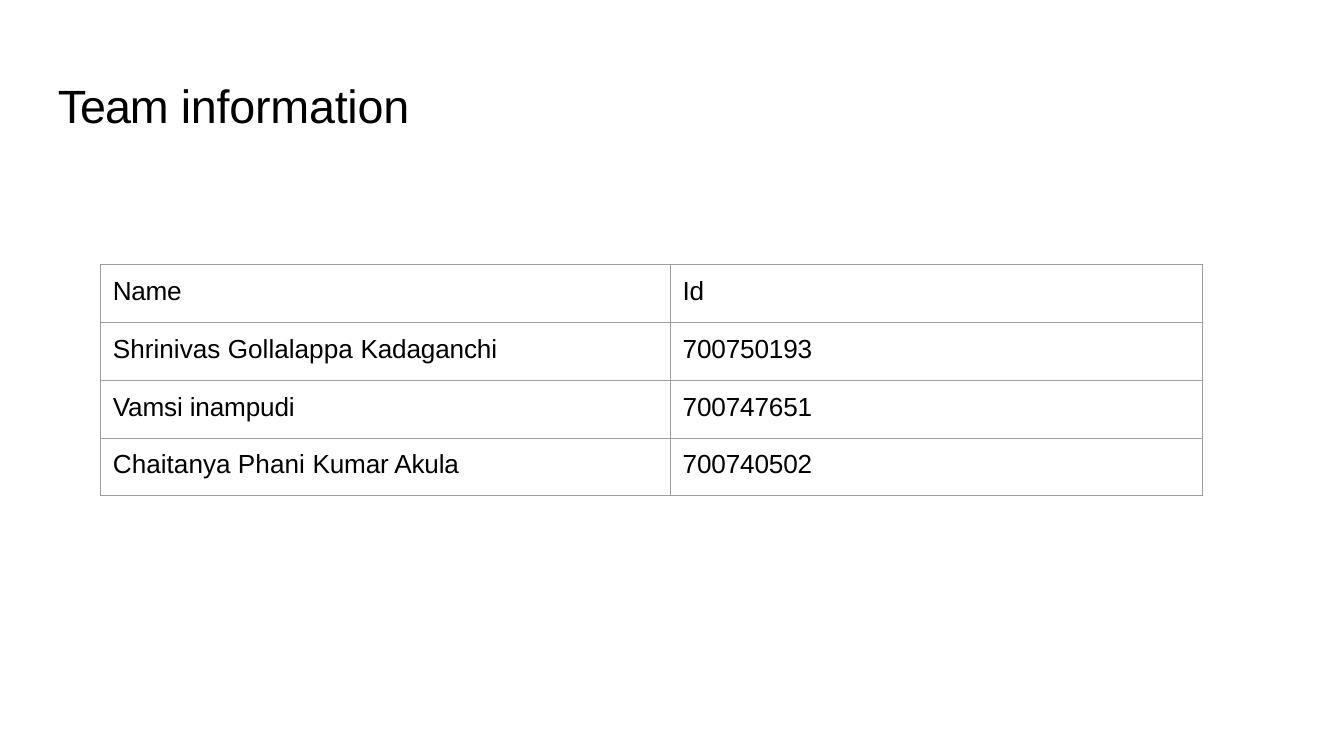
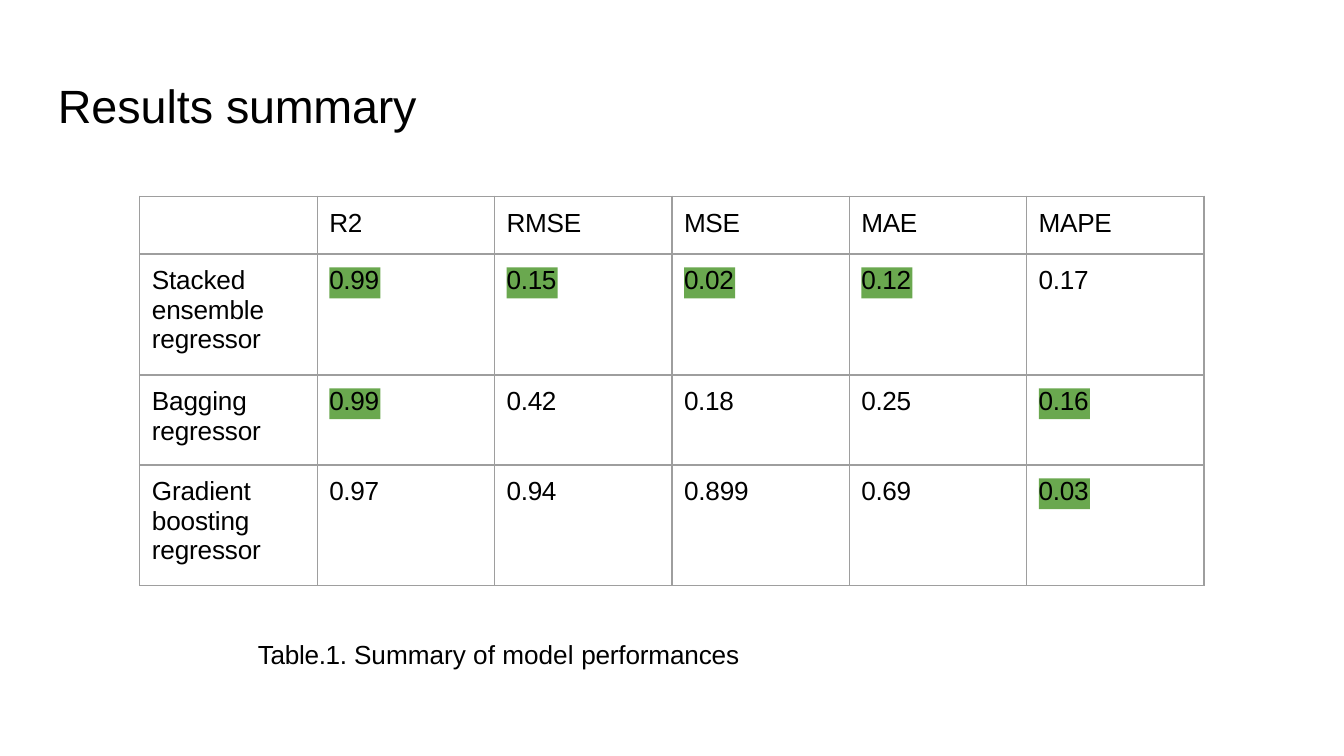
from dataclasses import dataclass
from typing import NamedTuple

from lxml.etree import SubElement
from pptx import Presentation
from pptx.dml.color import RGBColor
from pptx.enum.shapes import MSO_SHAPE as Shape
from pptx.enum.text import MSO_AUTO_SIZE as AutoSize, PP_ALIGN as Align
from pptx.oxml.ns import qn
from pptx.util import Inches, Pt


@dataclass(frozen=True)
class Theme:
    font: str = "Arial"
    text: str = "000000"
    border: str = "9E9E9E"
    highlight: str = "6AA84F"
    title_size: float = 25
    body_size: float = 14
    border_width: float = 0.75
    cell_indent: float = 0.09
    cell_top: float = 0.09
    cell_space: float = 6.2


class Span(NamedTuple):
    text: str
    spacing: float = -0.2


class Cell(NamedTuple):
    spans: tuple[Span, ...]
    marked: bool = False
    align: Align | None = None


@dataclass(frozen=True)
class Grid:
    left: float
    top: float
    columns: list[float]
    rows: list[float]
    cells: list[list[Cell]]


THEME = Theme()


# Text helpers
def write_text(para, spans: tuple[Span, ...], *, size: float, indent: float,
               space: float, align: Align | None = None) -> None:
    para.space_before = Pt(space)
    para.alignment = align
    properties = para._p.get_or_add_pPr()
    properties.set("marL", str(Inches(indent)))
    properties.set("indent", "0")
    for span in spans:
        run = para.add_run()
        run.text = span.text
        run.font.name = THEME.font
        run.font.size = Pt(size)
        run.font.color.rgb = RGBColor.from_string(THEME.text)
        run._r.get_or_add_rPr().set("spc", str(round(span.spacing * 100)))


def add_text(page, spans: tuple[Span, ...], *, left: float, top: float, width: float,
             height: float, size: float, inset: float, space: float) -> None:
    box = page.shapes.add_textbox(Inches(left), Inches(top), Inches(width), Inches(height))
    frame = box.text_frame
    frame.word_wrap = True
    frame.auto_size = AutoSize.SHAPE_TO_FIT_TEXT
    frame.margin_left = frame.margin_right = frame.margin_bottom = 0
    frame.margin_top = Inches(inset)
    write_text(frame.paragraphs[0], spans, size=size, indent=0.01, space=space)


def add_title(page, *spans: Span) -> None:
    add_text(page, spans, left=0.42, top=0.55, width=7.81, height=0.45,
             size=THEME.title_size, inset=0.02, space=1.2)


# Table helpers
def set_borders(cell) -> None:
    properties = cell._tc.get_or_add_tcPr()
    for side in ("a:lnL", "a:lnR", "a:lnT", "a:lnB"):
        line = SubElement(properties, qn(side), w=str(Pt(THEME.border_width)))
        fill = SubElement(line, qn("a:solidFill"))
        SubElement(fill, qn("a:srgbClr"), val=THEME.border)


def add_grid(page, grid: Grid) -> None:
    frame = page.shapes.add_table(
        len(grid.rows), len(grid.columns), Inches(grid.left), Inches(grid.top),
        Inches(sum(grid.columns)), Inches(sum(grid.rows)))
    table = frame.table
    table.first_row = table.horz_banding = False
    for column, width in zip(table.columns, grid.columns):
        column.width = Inches(width)
    for row, height in zip(table.rows, grid.rows):
        row.height = Inches(height)
    for row, contents in zip(table.rows, grid.cells):
        for cell, content in zip(row.cells, contents):
            cell.margin_left = cell.margin_right = cell.margin_bottom = 0
            cell.margin_top = Inches(THEME.cell_top)
            set_borders(cell)
            cell.fill.background()
            write_text(cell.text_frame.paragraphs[0], content.spans, size=THEME.body_size,
                       indent=THEME.cell_indent, space=THEME.cell_space,
                       align=content.align)


def add_highlights(page, grid: Grid) -> None:
    for row, contents in enumerate(grid.cells):
        for column, content in enumerate(contents):
            if not content.marked:
                continue
            left = grid.left + sum(grid.columns[:column]) + THEME.cell_indent
            top = grid.top + sum(grid.rows[:row]) + 0.1
            band = page.shapes.add_shape(Shape.RECTANGLE, Inches(left), Inches(top),
                                         Inches(0.38), Inches(0.23))
            band.shadow.inherit = False
            band.fill.solid()
            band.fill.fore_color.rgb = RGBColor.from_string(THEME.highlight)
            band.line.fill.background()


def plain(text: str, spacing: float = -0.2) -> Cell:
    return Cell((Span(text, spacing),))


def best(text: str) -> Cell:
    return Cell((Span(text),), marked=True)


# Widescreen deck, 16:9
deck = Presentation()
deck.slide_width = Inches(10)
deck.slide_height = Inches(10 * 9 / 16)
blank = deck.slide_layouts[6]

# Team information
page = deck.slides.add_slide(blank)
add_title(page, Span("Team ", -0.5), Span("information", -0.1))
add_grid(page, Grid(0.75, 1.97, [4.24, 3.96], [0.43] * 4, [
    [plain("Name"), plain("Id")],
    [Cell((Span("Shrinivas Gollalappa ", 0), Span("Kadaganchi", -0.1))),
     plain("700750193", -0.1)],
    [plain("Vamsi inampudi", -0.1), plain("700747651", -0.1)],
    [Cell((Span("Chaitanya Phani ", 0), Span("Kumar Akula", -0.1))),
     plain("700740502", -0.1)],
]))

# Results summary
page = deck.slides.add_slide(blank)
add_title(page, Span("Results ", 0), Span("summary", -0.1))
results = Grid(1.04, 1.46, [1.32] * 6, [0.43, 0.9, 0.67, 0.9], [
    [Cell(())] + [plain(name) for name in ("R2", "RMSE", "MSE", "MAE", "MAPE")],
    [plain("Stacked ensemble regressor", -0.1),
     best("0.99"), best("0.15"), best("0.02"), best("0.12"), plain("0.17")],
    [plain("Bagging regressor", -0.1),
     best("0.99"), plain("0.42"), plain("0.18"), plain("0.25"), best("0.16")],
    [Cell((Span("Gradient boosting regressor", -0.1),), align=Align.JUSTIFY),
     plain("0.97"), plain("0.94"), plain("0.899", -0.1), plain("0.69"), best("0.03")],
])
add_highlights(page, results)
add_grid(page, results)
add_text(page, (Span("Table.1. "), Span("Summary of model ", 0), Span("performances", -0.1)),
         left=1.91, top=4.74, width=3.64, height=0.26,
         size=THEME.body_size, inset=0.01, space=1)

deck.save("out.pptx")
